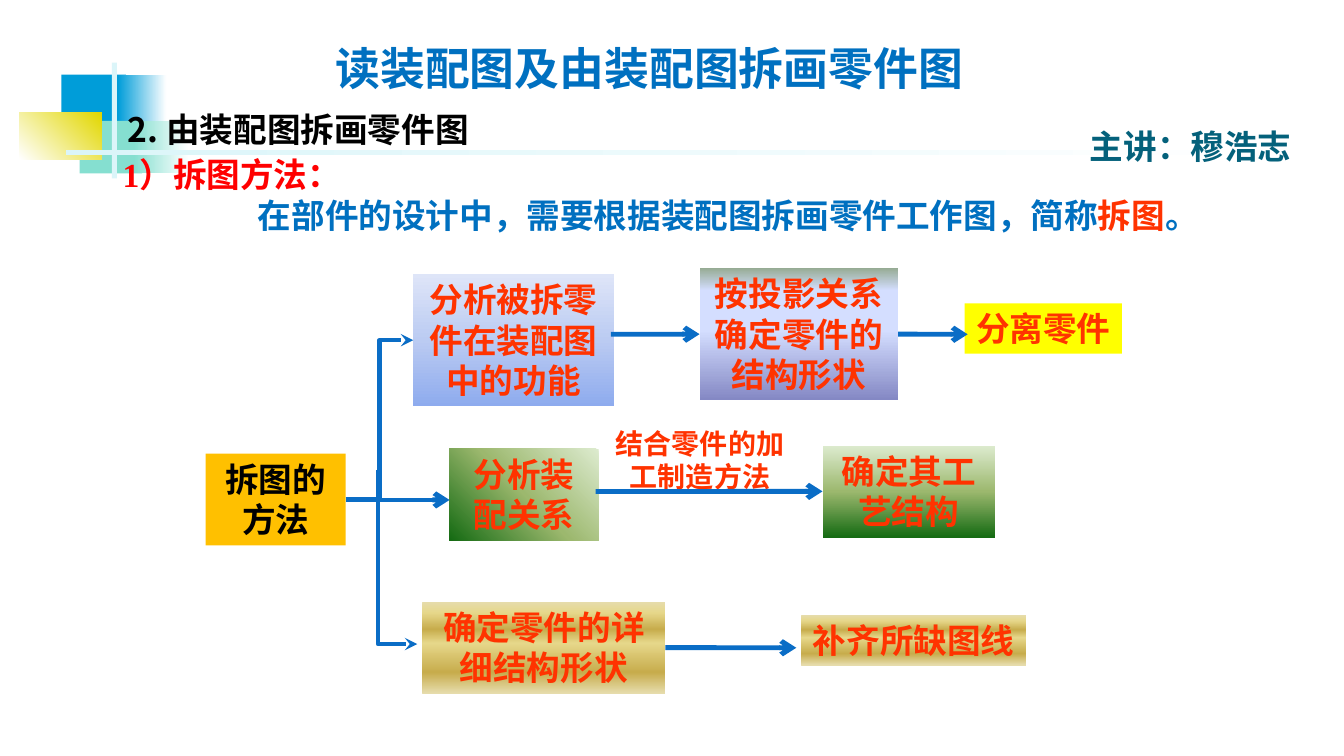
from lxml.etree import SubElement
from pptx import Presentation
from pptx.dml.color import RGBColor
from pptx.enum.shapes import MSO_CONNECTOR, MSO_SHAPE
from pptx.enum.text import MSO_ANCHOR, PP_ALIGN
from pptx.oxml.ns import qn
from pptx.util import Inches, Pt

SLIDE_WIDTH, SLIDE_HEIGHT = Inches(13.333), Inches(7.5)
COLUMN = SLIDE_WIDTH / 40
ROW = SLIDE_HEIGHT / 22.5
SANS, SERIF = "Noto Sans CJK SC", "Times New Roman"

COLORS = {
    "white": "FFFFFF", "black": "000000", "blue": "0070C0", "red": "FF0000",
    "orange": "FF3300", "navy": "04617B", "arrow": "0A6DC6", "amber": "FFC000",
    "yellow": "FFFF00", "sky": "009DD9", "teal": "85DFD0", "mustard": "E2D700",
    "ice": "DBF5F9",
}

# Each gradient: angle in degrees clockwise, then (position in percent, colour).
LEAF = [(0, "DDEBCF"), (50, "9CB86E"), (100, "156B13")]
GRADIENTS = {
    "sky fade": (0, [(0, COLORS["sky"]), (100, COLORS["white"])]),
    "teal fade": (0, [(0, COLORS["teal"]), (100, COLORS["white"])]),
    "ice fade": (0, [(0, COLORS["ice"]), (100, COLORS["white"])]),
    "mustard fade": (315, [(0, COLORS["white"]), (100, COLORS["mustard"])]),
    "periwinkle": (270, [(0, "8EABEE"), (50, "BBCBF2"), (100, "DEE5F8")]),
    "dusk": (270, [(0, "8488C4"), (53, "D4DEFF"), (83, "D4DEFF"), (100, "96AB94")]),
    "leaf diagonal": (135, LEAF),
    "leaf": (90, LEAF),
    "gold": (90, [(0, "E6DCAC"), (12, "E6D78A"), (30, "C7AC4C"),
                  (45, "E6D78A"), (77, "C7AC4C"), (100, "E6DCAC")]),
}

# Fill, then left, top, width, height in columns and rows.
DECORATION = [
    ("sky", 1.83, 2.22, 1.92, 1.56),
    ("sky fade", 3.51, 2.22, 1.44, 1.56),
    ("teal", 2.37, 3.6, 1.86, 1.56),
    ("teal fade", 3.99, 3.6, 1.62, 1.56),
    ("mustard fade", 0.57, 3.36, 2.46, 1.38),
    ("ice", 3.33, 1.86, 0.15, 3.45),
    ("ice fade", 1.95, 4.47, 36, 0.15),
]

# Name: text, fill, text colour, place.
STEPS = {
    "method": ("拆图的方法", "amber", "black", (6.12, 13.5, 4.17, 2.73)),
    "function": ("分析被拆零件在装配图中的功能", "periwinkle", "orange", (12.3, 8.16, 5.97, 3.93)),
    "projection": ("按投影关系确定零件的结构形状", "dusk", "orange", (20.82, 7.98, 5.91, 3.93)),
    "separation": ("分离零件", "yellow", "orange", (28.71, 9.03, 4.68, 1.5)),
    "relation": ("分析装配关系", "leaf diagonal", "orange", (13.38, 13.35, 4.44, 2.73)),
    "process": ("确定其工艺结构", "leaf", "orange", (24.48, 13.26, 5.13, 2.73)),
    "detail": ("确定零件的详细结构形状", "gold", "orange", (12.57, 17.91, 7.23, 2.73)),
    "completion": ("补齐所缺图线", "gold", "orange", (23.85, 18.3, 6.69, 1.5)),
}


def grid(left, top, width, height):
    return round(left * COLUMN), round(top * ROW), round(width * COLUMN), round(height * ROW)


def rgb(name):
    return RGBColor.from_string(COLORS[name])


def apply_gradient(shape, angle, stops):
    shape.fill.gradient()
    gradient = shape.element.spPr.find(qn("a:gradFill"))
    stop_list = gradient.find(qn("a:gsLst"))
    for stop in list(stop_list):
        stop_list.remove(stop)
    for position, color in stops:
        stop = SubElement(stop_list, qn("a:gs"), pos=str(position * 1000))
        SubElement(stop, qn("a:srgbClr"), val=color)
    gradient.find(qn("a:lin")).set("ang", str(angle * 60000))


def add_rectangle(slide, fill, place):
    shape = slide.shapes.add_shape(MSO_SHAPE.RECTANGLE, *grid(*place))
    shape.shadow.inherit = False
    shape.line.fill.background()
    if fill in GRADIENTS:
        apply_gradient(shape, *GRADIENTS[fill])
    else:
        shape.fill.solid()
        shape.fill.fore_color.rgb = rgb(fill)
    return shape


def write_paragraph(paragraph, runs, size=24, font=SERIF, align=PP_ALIGN.LEFT, indent=0):
    """Fill a paragraph with (text, colour) runs; indent is in columns."""
    paragraph.alignment = align
    paragraph.line_spacing = Pt(size * 1.2)
    if indent:
        paragraph._p.get_or_add_pPr().set("marL", str(round(indent * COLUMN)))
    paragraph.font.size = Pt(size)
    paragraph.font.bold = True
    paragraph.font.name = font
    paragraph.font.color.rgb = rgb(runs[0][1])
    SubElement(paragraph.font._element, qn("a:ea"), typeface=SANS)
    for text, color in runs:
        run = paragraph.add_run()
        run.text = text
        if color != runs[0][1]:
            run.font.color.rgb = rgb(color)


def prepare_frame(shape, anchor=MSO_ANCHOR.TOP):
    frame = shape.text_frame
    frame.word_wrap = True
    frame.vertical_anchor = anchor
    return frame


def add_label(slide, text, color, place, anchor=MSO_ANCHOR.TOP, **style):
    frame = prepare_frame(slide.shapes.add_textbox(*grid(*place)), anchor)
    write_paragraph(frame.paragraphs[0], [(text, color)], **style)


def add_step(slide, text, fill, color, place):
    shape = add_rectangle(slide, fill, place)
    frame = prepare_frame(shape)
    write_paragraph(frame.paragraphs[0], [(text, color)], align=PP_ALIGN.CENTER)
    return shape


def add_introduction(slide):
    frame = prepare_frame(slide.shapes.add_textbox(*grid(2.58, 4.44, 34.44, 2.73)))
    write_paragraph(frame.paragraphs[0], [("1）拆图方法：", "red")], indent=0.78)
    write_paragraph(frame.add_paragraph(), [
        ("在部件的设计中，需要根据装配图拆画零件工作图，简称", "blue"),
        ("拆图", "orange"), ("。", "blue")], indent=4.8)


def add_arrow(slide, start, end, kind=MSO_CONNECTOR.STRAIGHT, width=3.5, head="arrow"):
    """Join two ends, each a (column, row) point or a (shape, side) pair."""
    points = [(0, 0) if hasattr(place, "shape_id") else (round(place * COLUMN), round(value * ROW))
              for place, value in (start, end)]
    connector = slide.shapes.add_connector(kind, *points[0], *points[1])
    for (place, side), connect in ((start, connector.begin_connect), (end, connector.end_connect)):
        if hasattr(place, "shape_id"):
            connect(place, side)
    connector.line.color.rgb = rgb("arrow")
    connector.line.width = Pt(width)
    SubElement(connector.line._get_or_add_ln(), qn("a:tailEnd"), type=head)
    SubElement(connector.element.spPr, qn("a:effectLst"))
    return connector


def add_arrows(slide, steps):
    straight = [
        ((18.18, 9.95), (steps["projection"], 1)),
        ((steps["projection"], 3), (28.8, 9.95)),
        ((17.73, 14.63), (steps["process"], 1)),
        ((steps["detail"], 3), (23.7, 19.28)),
        ((11.28, 14.88), (13.38, 14.88)),
    ]
    for start, end in straight:
        add_arrow(slide, start, end)
    elbow = {"kind": MSO_CONNECTOR.ELBOW, "width": 3, "head": "stealth"}
    add_arrow(slide, (steps["method"], 3), (steps["function"], 1), **elbow)
    branch = add_arrow(slide, (14.43, 15.99), (9.24, 17.16), **elbow)
    properties = branch.element.spPr
    properties.find(qn("a:prstGeom")).set("prst", "bentConnector2")
    properties.find(qn("a:xfrm")).set("rot", str(270 * 60000))


def main():
    presentation = Presentation()
    presentation.slide_width, presentation.slide_height = SLIDE_WIDTH, SLIDE_HEIGHT
    slide = presentation.slides.add_slide(presentation.slide_layouts[6])
    for fill, *place in DECORATION:
        add_rectangle(slide, fill, place)
    add_label(slide, "主讲：穆浩志", "navy", (30.88, 3.6, 9.12, 1.5),
              MSO_ANCHOR.MIDDLE, font=SANS, align=PP_ALIGN.CENTER)
    add_label(slide, "2. 由装配图拆画零件图", "black", (3.51, 3.09, 11.28, 1.5),
              MSO_ANCHOR.MIDDLE, font=SANS)
    add_label(slide, "读装配图及由装配图拆画零件图", "blue", (9.69, 1.08, 19.53, 1.92),
              size=32, font=SANS)
    add_introduction(slide)
    steps = {name: add_step(slide, *step) for name, step in STEPS.items()}
    add_label(slide, "结合零件的加工制造方法", "orange", (17.73, 12.54, 6.21, 2.31),
              size=20, align=PP_ALIGN.CENTER)
    add_arrows(slide, steps)
    presentation.save("out.pptx")


if __name__ == "__main__":
    main()
